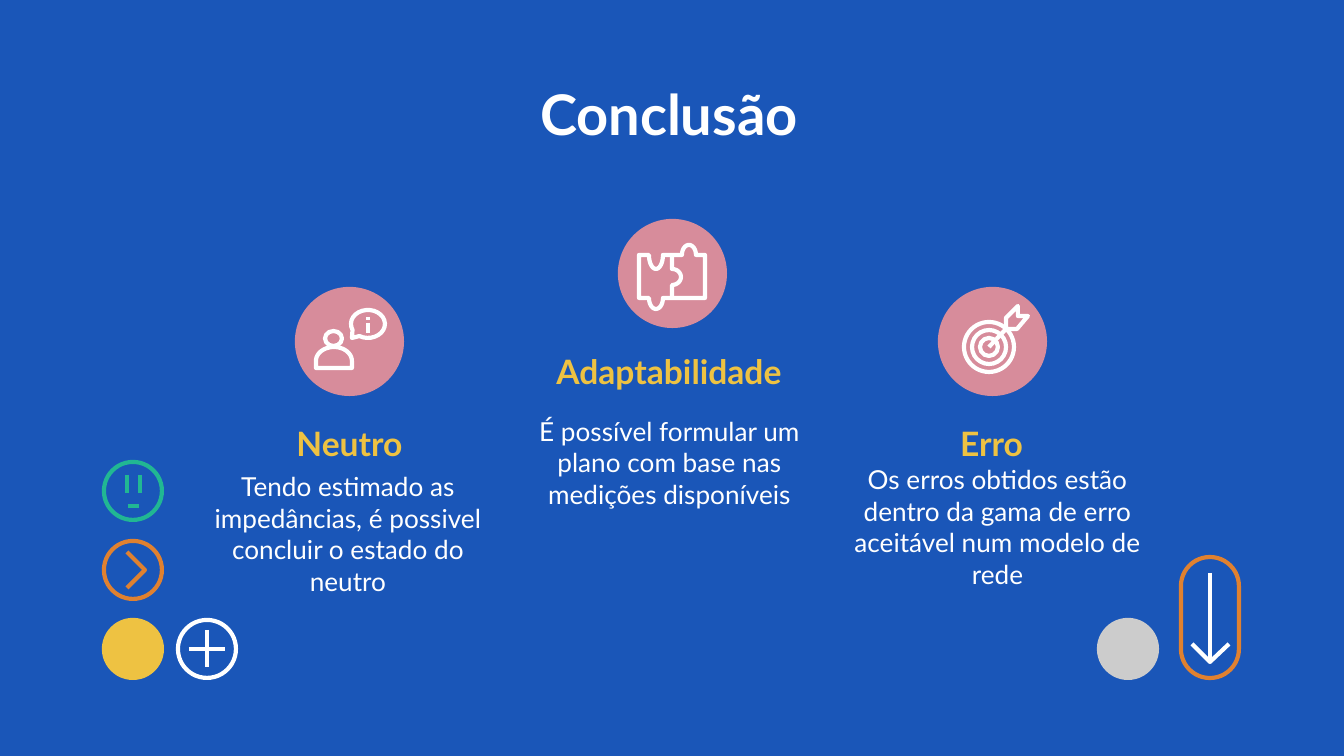
"""Build the closing slide: a title, three findings with icons, and line ornaments."""
from math import cos, radians, sin

from lxml.etree import SubElement
from pptx import Presentation
from pptx.dml.color import RGBColor
from pptx.enum.shapes import MSO_CONNECTOR as Link, MSO_SHAPE as Kind
from pptx.enum.text import MSO_ANCHOR as Anchor, MSO_AUTO_SIZE as Fit, PP_ALIGN as Align
from pptx.oxml.ns import qn
from pptx.util import Emu, Pt

BLUE = RGBColor(0x1A, 0x56, 0xB8)
WHITE = RGBColor(0xFF, 0xFF, 0xFF)
GOLD = RGBColor(0xEE, 0xC2, 0x42)
PINK = RGBColor(0xD7, 0x8C, 0x9B)
GREEN = RGBColor(0x21, 0xB7, 0x93)
ORANGE = RGBColor(0xE0, 0x81, 0x30)
GREY = RGBColor(0xCC, 0xCC, 0xCC)
FONT = "Lato"
STROKE = Pt(2.25)
SCALE = 9144000 / 1344
DOT = 58
DISC = 105

FACTS = [
    ("Neutro", (214, 417, 271, 52),
     "Tendo estimado as impedâncias, é possivel concluir o estado do neutro",
     (204, 484, 288, 99), (297, 289)),
    ("Adaptabilidade", (528, 345, 282, 52),
     "É possível formular um plano com base nas medições disponíveis",
     (534, 413, 271, 99), (620, 221)),
    ("Erro", (856, 417, 271, 52),
     "Os erros obtidos estão dentro da gama de erro aceitável num modelo de rede",
     (847, 477, 301, 99), (940, 289)),
]


def px(num):
    return Emu(round(num * SCALE))


def paint(shape, line, fill=None):
    shape.shadow.inherit = False
    if fill is None:
        shape.fill.background()
    else:
        shape.fill.solid()
        shape.fill.fore_color.rgb = fill
    shape.line.color.rgb = line
    shape.line.width = STROKE


def add_form(slide, kind, box, line, fill=None):
    shape = slide.shapes.add_shape(kind, *map(px, box))
    paint(shape, line, fill)
    return shape


def add_dot(slide, left, top, line, fill=None, size=DOT):
    add_form(slide, Kind.OVAL, (left, top, size, size), line, fill)


def add_line(slide, start, end, color):
    line = slide.shapes.add_connector(Link.STRAIGHT, *map(px, start + end))
    line.line.color.rgb = color
    line.line.width = STROKE
    SubElement(line._element.spPr, qn("a:effectLst"))


def add_path(slide, points, color, close=False):
    first, *rest = [(px(x), px(y)) for x, y in points]
    pen = slide.shapes.build_freeform(*first)
    pen.add_line_segments(rest, close=close)
    paint(pen.convert_to_shape(), color)


def arc(mid, radii, start, end, steps=24):
    turns = [radians(start + (end - start) * i / steps) for i in range(steps + 1)]
    return [(mid[0] + radii[0] * cos(t), mid[1] + radii[1] * sin(t)) for t in turns]


def set_text(shape, box, text, size, color, bold=False):
    shape.left, shape.top, shape.width, shape.height = map(px, box)
    frame = shape.text_frame
    frame.text = text
    frame.word_wrap = True
    frame.auto_size = Fit.NONE
    frame.vertical_anchor = Anchor.MIDDLE
    frame.margin_left = frame.margin_right = frame.margin_top = frame.margin_bottom = 0
    para = frame.paragraphs[0]
    para.alignment = Align.CENTER
    font = para.font
    font.name, font.size, font.bold = FONT, Pt(size), bold
    font.color.rgb = color


def add_text(slide, box, *style):
    set_text(slide.shapes.add_textbox(*map(px, box)), box, *style)


def draw_guide(slide):
    add_form(slide, Kind.OVAL, (325, 331, 17, 15), WHITE)
    body = arc((334, 361), (18, 14), 180, 360) + [(352, 368), (316, 368)]
    add_path(slide, body, WHITE, True)
    bubble = arc((368, 324), (17, 14), 155, 480) + [(352, 338)]
    add_path(slide, bubble, WHITE, True)
    add_line(slide, (368, 317), (368, 320), WHITE)
    add_line(slide, (368, 323), (368, 333), WHITE)


def draw_puzzle(slide):
    edge = [(639, 255)] + arc((656, 255), (7, 14), 180, 0)
    edge += arc((689, 255), (7, 10), 180, 360) + [(705, 255), (705, 298)]
    edge += arc((656, 298), (7, 11), 0, 180) + [(639, 298)]
    add_path(slide, edge, WHITE, True)
    seam = [(672, 255)] + arc((672, 277), (9, 8), -90, 90) + [(672, 298)]
    add_path(slide, seam, WHITE)


def draw_target(slide):
    x, y = 989, 347
    for radius in (25, 17, 9):
        add_dot(slide, x - radius, y - radius, WHITE, size=2 * radius)
    add_line(slide, (x, y), (1006, 329), WHITE)
    tail = [(1018, 306), (1006, 318), (1006, 329), (1017, 329), (1028, 316), (1018, 316)]
    add_path(slide, tail, WHITE, True)


def draw_left(slide):
    add_dot(slide, 104, 462, GREEN)
    for x in (127, 140):
        add_line(slide, (x, 475), (x, 493), GREEN)
    add_line(slide, (128, 506), (139, 506), GREEN)
    add_dot(slide, 104, 541, ORANGE)
    add_path(slide, [(127, 552), (145, 570), (127, 588)], ORANGE)
    add_dot(slide, 104, 620, GOLD, GOLD)
    add_dot(slide, 178, 620, WHITE)
    add_line(slide, (207, 630), (207, 667), WHITE)
    add_line(slide, (189, 649), (225, 649), WHITE)


def draw_right(slide):
    add_dot(slide, 1099, 620, GREY, GREY)
    pill = add_form(slide, Kind.ROUNDED_RECTANGLE, (1181, 557, DOT, 121), ORANGE)
    pill.adjustments[0] = 0.5
    add_line(slide, (1210, 573), (1210, 663), WHITE)
    add_path(slide, [(1192, 644), (1210, 662), (1229, 644)], WHITE)


def main():
    deck = Presentation()
    deck.slide_width, deck.slide_height = px(1344), px(756)
    slide = deck.slides.add_slide(deck.slide_layouts.get_by_name("Title Only"))
    slide.background.fill.solid()
    slide.background.fill.fore_color.rgb = BLUE
    set_text(slide.shapes.title, (102, 78, 1134, 70), "Conclusão", 30, WHITE, True)
    for head, spot, note, area, disc in FACTS:
        add_text(slide, spot, head, 18, GOLD, True)
        add_text(slide, area, note, 14, WHITE)
        add_dot(slide, *disc, PINK, PINK, DISC)
    for draw in (draw_guide, draw_puzzle, draw_target, draw_left, draw_right):
        draw(slide)
    deck.save("out.pptx")


if __name__ == "__main__":
    main()
